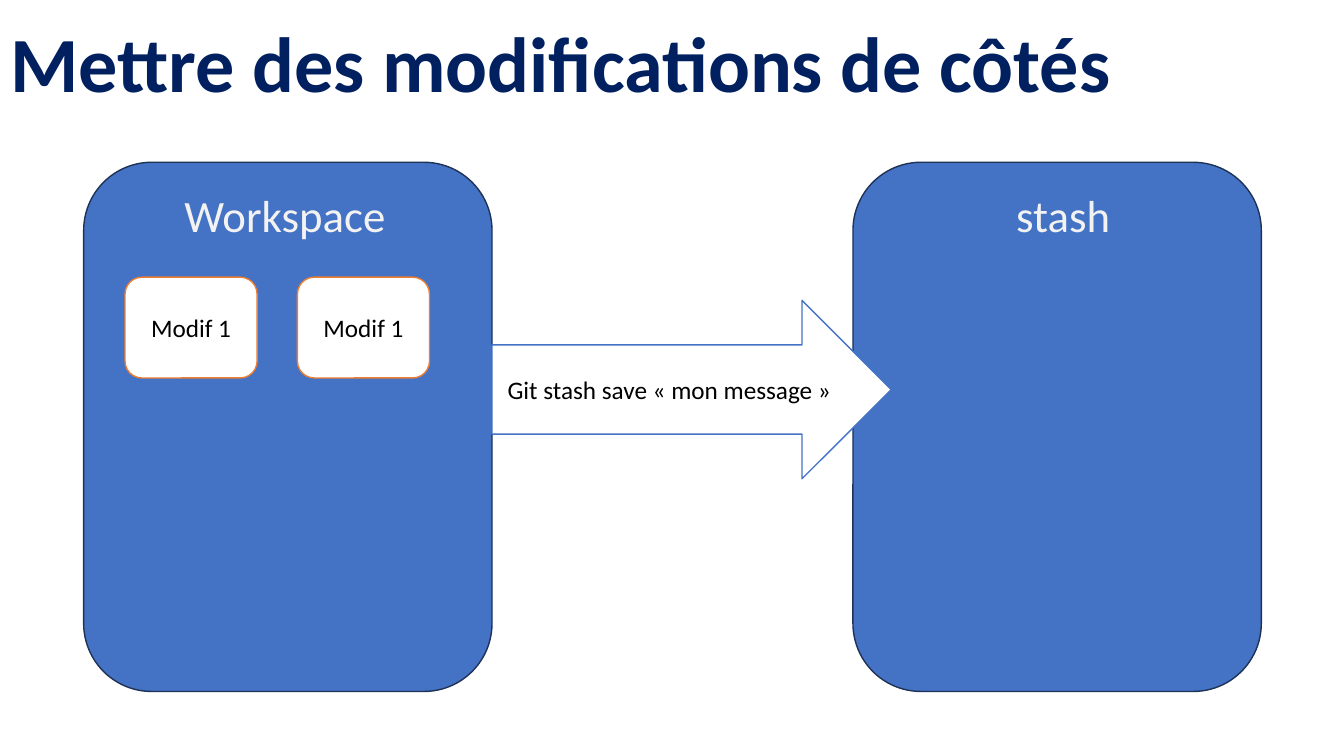
import dataclasses

import pptx
import pptx.dml.color
import pptx.enum.shapes
import pptx.enum.text
import pptx.util
from pptx.util import Inches

SHAPE = pptx.enum.shapes.MSO_SHAPE
ALIGN = pptx.enum.text.PP_ALIGN
ANCHOR = pptx.enum.text.MSO_ANCHOR


@dataclasses.dataclass(frozen=True)
class Theme:
    font: str = "Calibri"
    title_size: float = 55.8
    heading_size: float = 32
    label_size: float = 18
    line_width: float = 1
    navy: str = "002060"
    blue: str = "4472C4"
    dark_blue: str = "1E3256"
    orange: str = "ED7D31"
    white: str = "FFFFFF"
    light: str = "F2F2F2"
    black: str = "000000"


THEME = Theme()


def color(value):
    return pptx.dml.color.RGBColor.from_string(value)


def write(shape, text, size, ink, align, anchor, bold=False):
    frame = shape.text_frame
    frame.text = text
    frame.word_wrap = True
    frame.vertical_anchor = anchor
    para = frame.paragraphs[0]
    para.alignment = align
    font = para.runs[0].font
    font.name = THEME.font
    font.size = pptx.util.Pt(size)
    font.bold = bold
    font.color.rgb = color(ink)
    return para


def add_title(page, text):
    title = page.shapes.title
    title.left, title.top = Inches(0), Inches(0)
    title.width, title.height = Inches(11.5), Inches(1.45)
    para = write(title, text, THEME.title_size, THEME.navy, ALIGN.LEFT, ANCHOR.MIDDLE, bold=True)
    para.line_spacing = 0.7


def add_block(page, kind, left, top, width, height, fill, line, text=""):
    block = page.shapes.add_shape(kind, Inches(left), Inches(top), Inches(width), Inches(height))
    block.shadow.inherit = False
    block.fill.solid()
    block.fill.fore_color.rgb = color(fill)
    block.line.color.rgb = color(line)
    block.line.width = pptx.util.Pt(THEME.line_width)
    if text:
        write(block, text, THEME.label_size, THEME.black, ALIGN.CENTER, ANCHOR.MIDDLE)


def add_heading(page, text, left, width):
    box = page.shapes.add_textbox(Inches(left), Inches(1.81), Inches(width), Inches(0.64))
    write(box, text, THEME.heading_size, THEME.light, ALIGN.LEFT, ANCHOR.TOP)


def main():
    deck = pptx.Presentation()
    deck.slide_width, deck.slide_height = Inches(13.33), Inches(7.5)
    page = deck.slides.add_slide(deck.slide_layouts[5])

    add_title(page, "Mettre des modifications de côtés")
    for left in (0.83, 8.46):
        add_block(page, SHAPE.ROUNDED_RECTANGLE, left, 1.61, 4.05, 5.25, THEME.blue, THEME.dark_blue)
    add_heading(page, "Workspace", 1.73, 2.45)
    add_heading(page, "stash", 9.98, 1.24)
    for left in (1.24, 2.95):
        add_block(page, SHAPE.ROUNDED_RECTANGLE, left, 2.75, 1.31, 1, THEME.white, THEME.orange, "Modif 1")
    add_block(page, SHAPE.RIGHT_ARROW, 4.88, 2.98, 3.96, 1.77, THEME.white, THEME.blue,
              "Git stash save « mon message »")

    deck.save("out.pptx")


if __name__ == "__main__":
    main()
